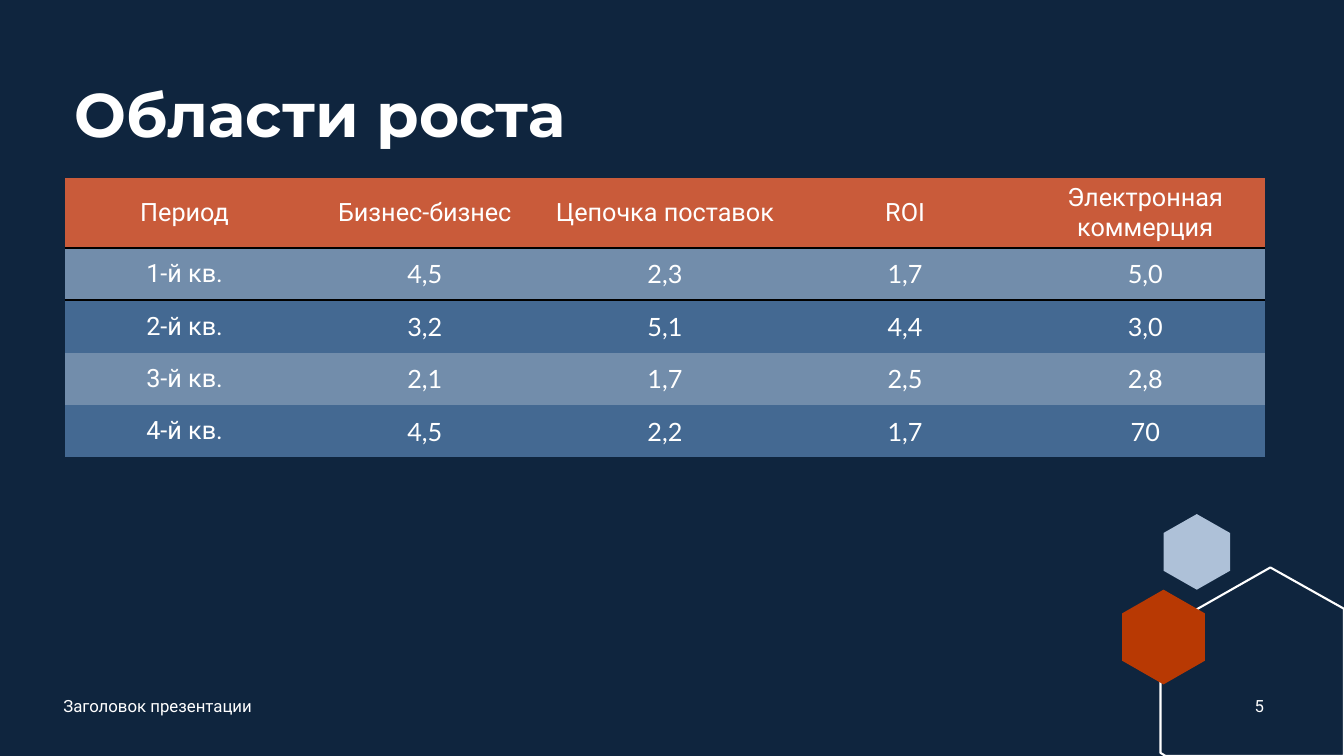
from lxml.etree import SubElement
from pptx import Presentation
from pptx.dml.color import RGBColor
from pptx.enum.text import MSO_ANCHOR, MSO_AUTO_SIZE, PP_ALIGN
from pptx.oxml import parse_xml
from pptx.oxml.ns import nsdecls, qn
from pptx.util import Inches, Pt

WHITE = "FFFFFF"
ROWS = [
    ["Период", "Бизнес-бизнес", "Цепочка поставок", "ROI", "Электронная коммерция"],
    ["1-й кв.", "4,5", "2,3", "1,7", "5,0"],
    ["2-й кв.", "3,2", "5,1", "4,4", "3,0"],
    ["3-й кв.", "2,1", "1,7", "2,5", "2,8"],
    ["4-й кв.", "4,5", "2,2", "1,7", "70"],
]


def color(code):
    """Turn a hex string into a colour."""
    return RGBColor.from_string(code)


def style(para, face, size, align=PP_ALIGN.LEFT, bold=False):
    """Format a paragraph and its runs in white."""
    para.alignment = align
    for run in para.runs:
        font = run.font
        font.name, font.size, font.bold = face, Pt(size), bold
        font.color.rgb = color(WHITE)


def outline(slide, points, fill=None, line=None):
    """Draw a closed polygon with a fill or a line."""
    spots = [(Inches(x), Inches(y)) for x, y in points]
    build = slide.shapes.build_freeform(*spots[0], scale=1.0)
    build.add_line_segments(spots[1:], close=True)
    shape = build.convert_to_shape()
    shape.shadow.inherit = False
    if fill:
        shape.fill.solid()
        shape.fill.fore_color.rgb = color(fill)
    else:
        shape.fill.background()
    if line:
        shape.line.color.rgb = color(line)
        shape.line.width = Pt(1.5)
    else:
        shape.line.fill.background()


def hexagon(slide, left, top, width, height, fill):
    """Draw a hexagon that stands on a corner."""
    mid, right = left + width / 2, left + width
    high, low = top + height / 4, top + height * 3 / 4
    outline(slide, [(mid, top), (right, high), (right, low),
                    (mid, top + height), (left, low), (left, high)], fill)


def decor(slide, left, top):
    """Place the group of hexagons in the corner."""
    right, base = left + 2.2, top + 2.4
    hexagon(slide, left + 0.41, top, 0.66, 0.75, "AEC1D8")
    outline(slide, [(left + 1.47, top + 0.53), (right, top + 0.94), (right, base),
                    (left + 0.43, base), (left + 0.38, base - 0.03),
                    (left + 0.38, top + 1.15)], line=WHITE)
    hexagon(slide, left, top + 0.75, 0.82, 0.94, "B83903")


def heading(slide, left, top, width, height):
    """Place and format the title."""
    title = slide.shapes.title
    title.left, title.top = Inches(left), Inches(top)
    title.width, title.height = Inches(width), Inches(height)
    frame = title.text_frame
    frame.text = "Области роста"
    frame.auto_size = MSO_AUTO_SIZE.NONE
    frame.vertical_anchor = MSO_ANCHOR.TOP
    para = frame.paragraphs[0]
    para.line_spacing = 0.9
    style(para, "Montserrat", 44, bold=True)


def border(cell, side):
    """Draw a black line on one side of a cell."""
    line = parse_xml(f'<a:{side} {nsdecls("a")} w="{Pt(1.5)}"/>')
    fill = SubElement(line, qn("a:solidFill"))
    SubElement(fill, qn("a:srgbClr"), val="000000")
    cell._tc.get_or_add_tcPr().insert(0, line)


def grid(slide, left, top, width, height):
    """Build the table of quarters."""
    count = len(ROWS[0])
    frame = slide.shapes.add_table(len(ROWS), count, Inches(left), Inches(top),
                                   Inches(width), Inches(height))
    table = frame.table
    table.horz_banding = False
    table._tbl.tblPr.find(qn("a:tableStyleId")).text = "{2D5ABB26-0587-4C30-8999-92F81FD0307C}"
    step = 0.52
    head = height - step * (len(ROWS) - 1)
    for r, row in enumerate(ROWS):
        table.rows[r].height = Inches(step if r else head)
        fill = ("728DAB" if r % 2 else "446992") if r else "C95B3A"
        for c, text in enumerate(row):
            cell = table.cell(r, c)
            cell.text = text
            cell.vertical_anchor = MSO_ANCHOR.MIDDLE
            cell.fill.solid()
            cell.fill.fore_color.rgb = color(fill)
            face = "Lato" if r and c else "Roboto"
            style(cell.text_frame.paragraphs[0], face, 18, PP_ALIGN.CENTER)
            if r < 2:
                border(cell, "lnT" if r else "lnB")


def label(slide, text, left, top, width, height, align):
    """Add a small line of text."""
    box = slide.shapes.add_textbox(Inches(left), Inches(top), Inches(width), Inches(height))
    frame = box.text_frame
    frame.word_wrap = True
    frame.vertical_anchor = MSO_ANCHOR.MIDDLE
    frame.text = text
    style(frame.paragraphs[0], "Roboto", 12, align)


def footer(slide, left, top, width, height):
    """Place the deck name and the slide number."""
    label(slide, "Заголовок презентации", left, top, 4.5, height, PP_ALIGN.LEFT)
    label(slide, "5", left + width - 0.5, top, 0.5, height, PP_ALIGN.CENTER)


def main():
    """Build and save the slide."""
    deck = Presentation()
    deck.slide_width, deck.slide_height = Inches(13.33), Inches(7.5)
    slide = deck.slides.add_slide(deck.slide_layouts[5])
    back = slide.background.fill
    back.solid()
    back.fore_color.rgb = color("0F253E")
    decor(slide, 11.13, 5.1)
    heading(slide, 0.64, 0.79, 11.91, 1.55)
    grid(slide, 0.64, 1.77, 11.91, 2.77)
    footer(slide, 0.53, 6.8, 12.21, 0.4)
    deck.save("out.pptx")


if __name__ == "__main__":
    main()
